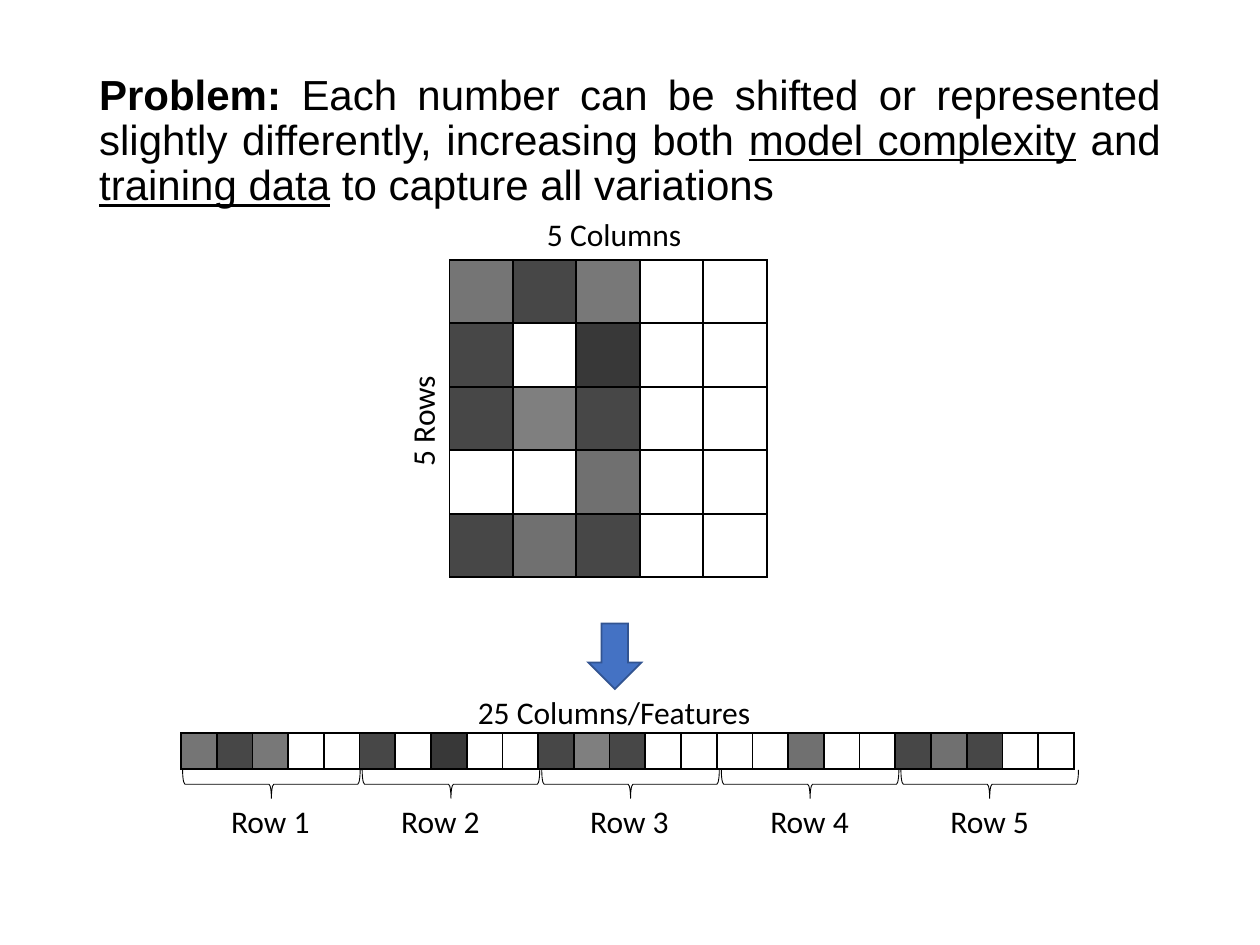
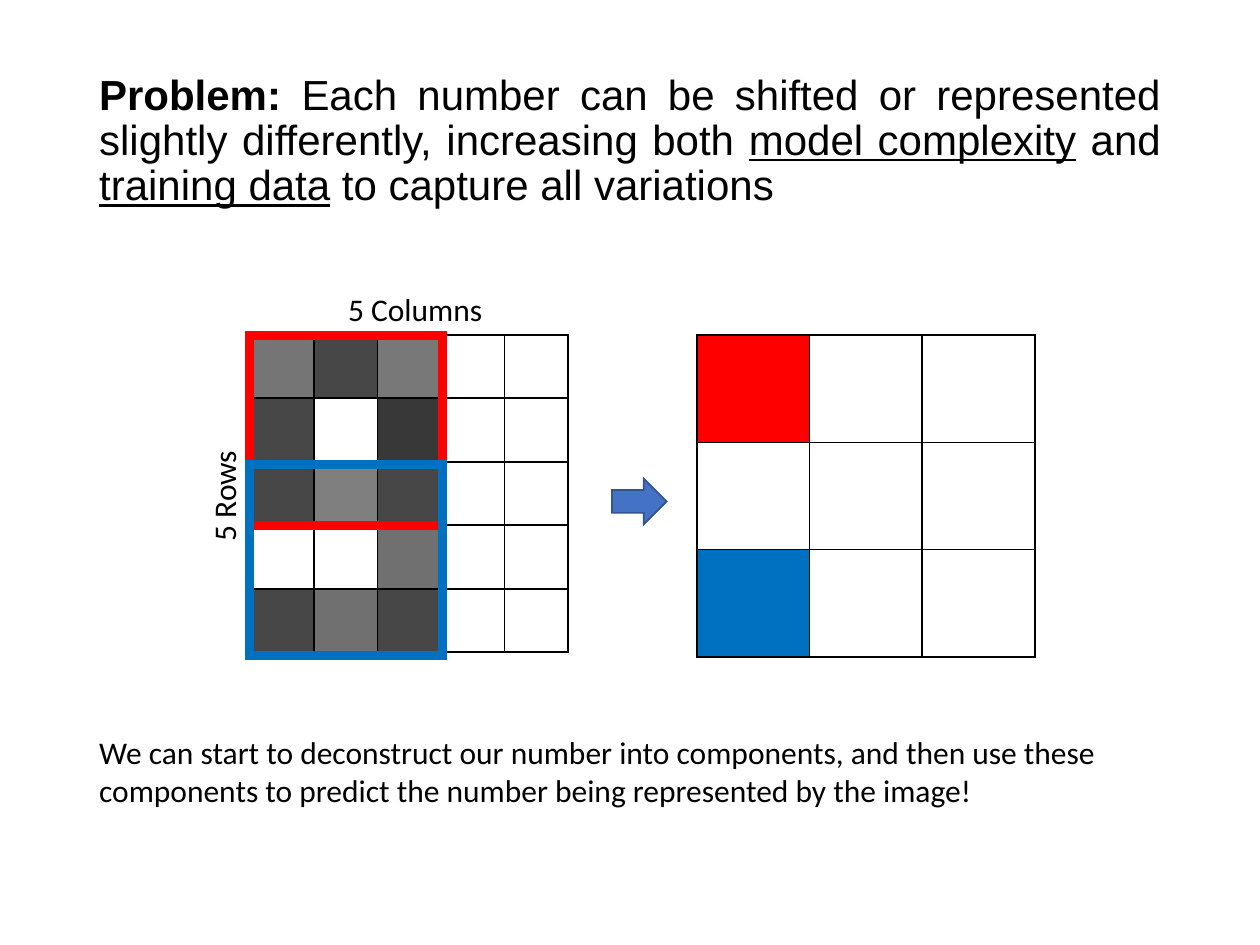
from lxml.etree import SubElement
from pptx import Presentation
from pptx.dml.color import RGBColor
from pptx.enum.shapes import MSO_SHAPE
from pptx.enum.text import MSO_ANCHOR, MSO_AUTO_SIZE, PP_ALIGN
from pptx.oxml.ns import qn
from pptx.util import Cm, Pt

COLORS = {
    "ink": "000000",
    "arrow": "4472C4",
    "edge": "325491",
    "red": "FF0000",
    "blue": "0070C0",
}

DIGIT = [
    [54, 72, 53, 0, 0],
    [72, 0, 78, 0, 0],
    [72, 50, 72, 0, 0],
    [0, 0, 56, 0, 0],
    [72, 56, 72, 0, 0],
]

PROBLEM = [
    ("Problem: ", "bold"),
    ("Each number can be shifted or represented slightly differently, "
     "increasing both ", ""),
    ("model complexity", "under"),
    (" and ", ""),
    ("training data", "under"),
    (" to capture all variations", ""),
]

CLOSING = ("We can start to deconstruct our number into components, and then "
           "use these components to predict the number being represented by "
           "the image!")


class Deck:
    def __init__(self):
        self.show = Presentation()
        self.show.slide_width = Cm(25.4)
        self.show.slide_height = Cm(19.05)
        self.slide = None

    def color(self, name):
        return RGBColor.from_string(COLORS[name])

    def start(self):
        self.slide = self.show.slides.add_slide(self.show.slide_layouts[6])
        self.title()

    def frame(self, left, top, width, height):
        box = self.slide.shapes.add_textbox(
            Cm(left), Cm(top), Cm(width), Cm(height))
        box.text_frame.word_wrap = True
        return box

    def run(self, para, text, size, font, style=""):
        run = para.add_run()
        run.text = text
        run.font.size = Pt(size)
        run.font.name = font
        run.font.color.rgb = self.color("ink")
        run.font.bold = style == "bold"
        run.font.underline = style == "under"

    def title(self):
        box = self.frame(1.75, 1.02, 21.9, 3.68)
        box.text_frame.vertical_anchor = MSO_ANCHOR.MIDDLE
        para = box.text_frame.paragraphs[0]
        para.alignment = PP_ALIGN.JUSTIFY
        para.line_spacing = 0.9
        for text, style in PROBLEM:
            self.run(para, text, 24, "Arial", style)

    def label(self, text, left, top, width, height=1.02,
              align=PP_ALIGN.CENTER, turn=0):
        box = self.frame(left, top, width, height)
        box.text_frame.auto_size = MSO_AUTO_SIZE.SHAPE_TO_FIT_TEXT
        box.rotation = turn
        para = box.text_frame.paragraphs[0]
        para.alignment = align
        self.run(para, text, 18, "Calibri")

    def shape(self, kind, left, top, width, height, fill=None, alpha=100,
              line="ink", weight=1, turn=0, host=None):
        shapes = (host or self.slide).shapes
        item = shapes.add_shape(
            kind, Cm(left), Cm(top), Cm(width), Cm(height))
        item.shadow.inherit = False
        item.rotation = turn
        if fill:
            item.fill.solid()
            item.fill.fore_color.rgb = self.color(fill)
            if alpha < 100:
                tint = item.fill._xPr.find(qn("a:solidFill"))[0]
                SubElement(tint, qn("a:alpha"), val=str(alpha * 1000))
        else:
            item.fill.background()
        item.line.color.rgb = self.color(line)
        item.line.width = Pt(weight)
        SubElement(item.line._ln, qn("a:miter"), lim="800000")

    def grid(self, rows, left, top, step):
        group = self.slide.shapes.add_group_shape()
        for r, row in enumerate(rows):
            for c, alpha in enumerate(row):
                self.shape(MSO_SHAPE.RECTANGLE, left + c * step,
                           top + r * step, step, step,
                           "ink" if alpha else None, alpha, host=group)

    def digit(self, left, top):
        self.grid(DIGIT, left, top, 1.28)
        self.label("5 Rows", left - 2.14, top + 2.74, 3.2, turn=270)
        self.label("5 Columns", left + 0.92, top - 1.02, 4.8)

    def arrow(self, kind, left, top, width, height):
        self.shape(kind, left, top, width, height, "arrow", line="edge")


def flatten(deck):
    deck.start()
    deck.digit(9.06, 5.24)
    deck.arrow(MSO_SHAPE.DOWN_ARROW, 11.86, 12.57, 1.07, 1.32)
    deck.label("25 Columns/Features", 8.28, 13.84, 8.2)
    deck.grid([sum(DIGIT, [])], 3.65, 14.78, 0.72)
    for i, left in enumerate([3.1, 6.53, 10.34, 13.97, 17.6]):
        deck.label(f"Row {i + 1}", left, 16.05, 4.7)
        deck.shape(MSO_SHAPE.RIGHT_BRACE, 5.18 + i * 3.62, 14.02, 0.58, 3.58,
                   weight=0.5, turn=90)


def reduce(deck):
    deck.start()
    deck.digit(5.05, 6.75)
    for color, top in [("red", 6.76), ("blue", 9.37)]:
        deck.shape(MSO_SHAPE.RECTANGLE, 5.03, top, 3.89, 3.84,
                   line=color, weight=5)
    fills = {(0, 0): "red", (2, 0): "blue"}
    for r in range(3):
        for c in range(3):
            deck.shape(MSO_SHAPE.RECTANGLE, 14.05 + c * 2.27,
                       6.76 + r * 2.16, 2.27, 2.16, fills.get((r, c)))
    deck.arrow(MSO_SHAPE.RIGHT_ARROW, 12.34, 9.65, 1.1, 0.92)
    deck.label(CLOSING, 1.75, 14.66, 21.92, 1.8, PP_ALIGN.LEFT)


def main():
    deck = Deck()
    flatten(deck)
    reduce(deck)
    deck.show.save("out.pptx")


if __name__ == "__main__":
    main()
